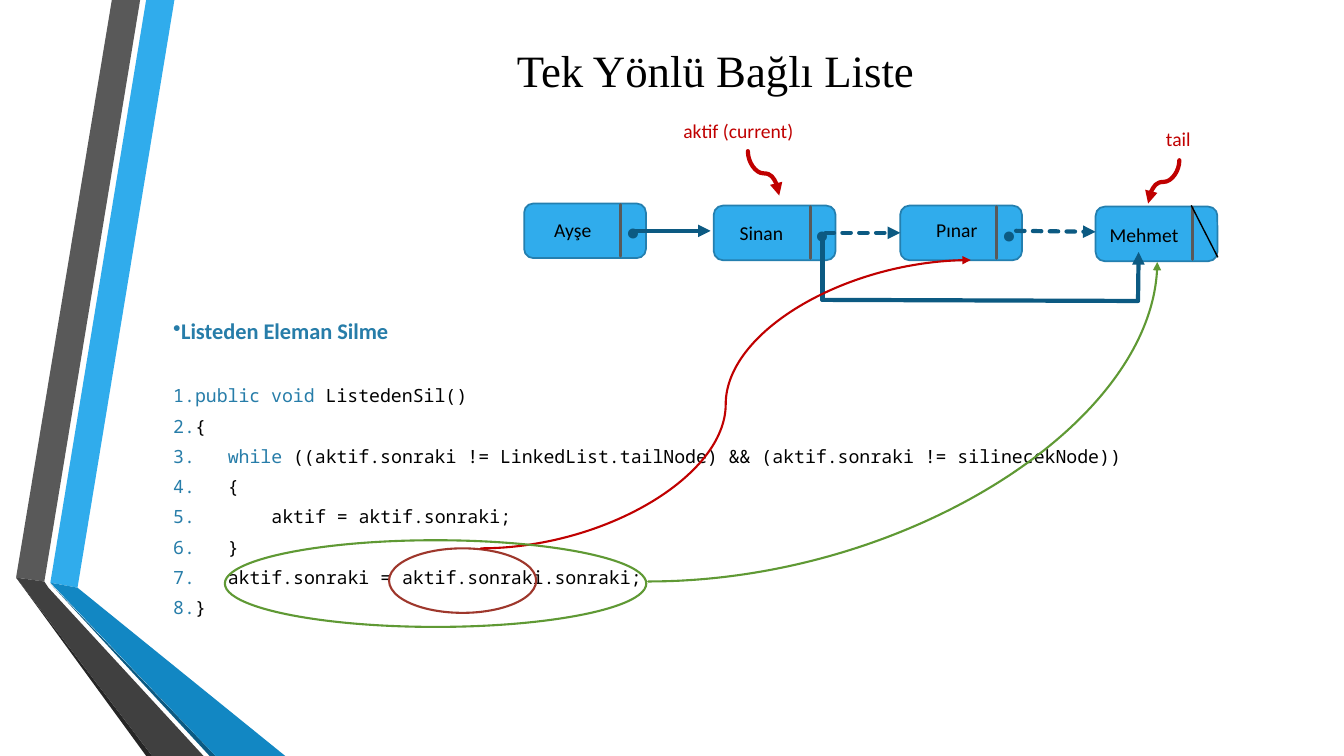
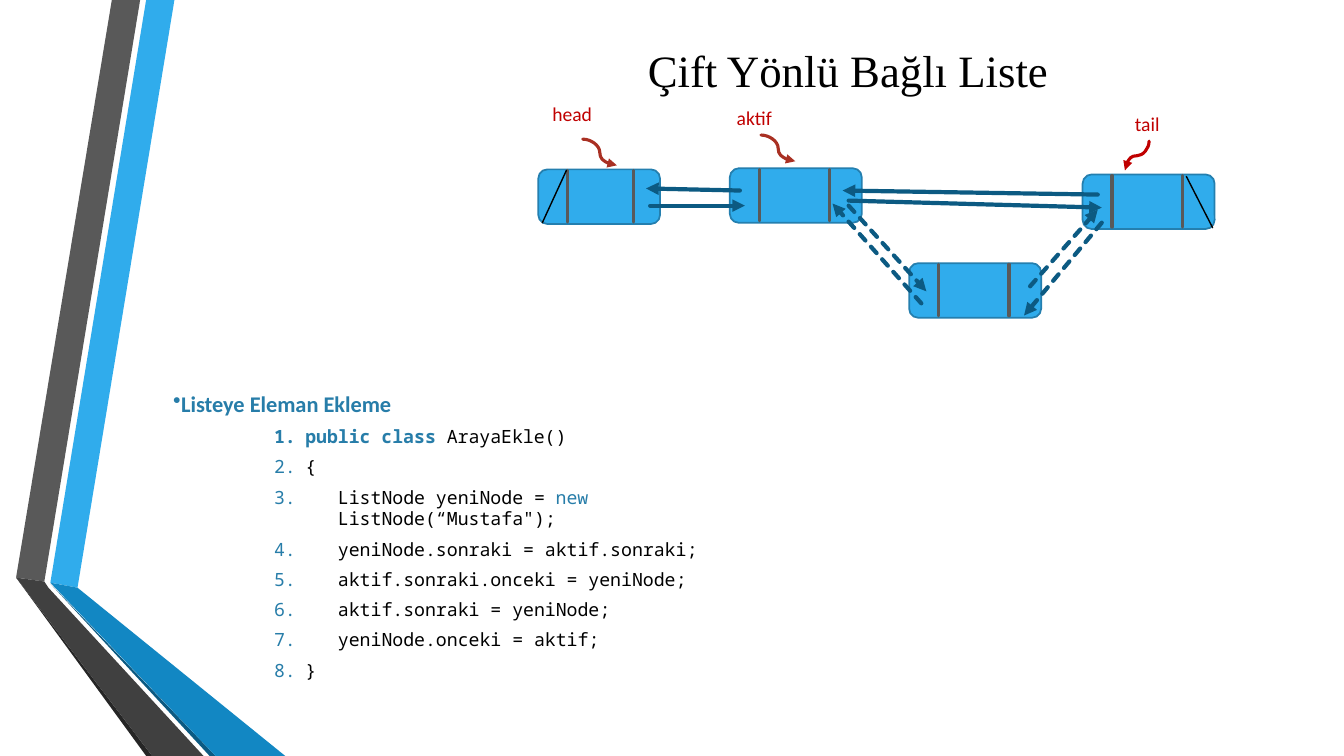
from lxml.etree import SubElement
from pptx import Presentation
from pptx.dml.color import RGBColor
from pptx.enum.dml import MSO_LINE
from pptx.enum.shapes import MSO_CONNECTOR, MSO_SHAPE
from pptx.enum.text import MSO_ANCHOR, PP_ALIGN
from pptx.oxml.ns import qn
from pptx.util import Pt

SKY, NAVY, GREY, EDGE = "30ACEC", "0C5A82", "595959", "247FAF"
KEYWORD, BLACK, RED, BRICK, GREEN = "277DA9", "000000", "C00000", "A93023", "5F9934"
SANS, MONO, SERIF = "Calibri", "Noto Sans Mono", "Times New Roman"
CODE_SIZE, CODE_CHAR = 13, 7.8
NODE_HEIGHT = 39
SMALL_NODE, WIDE_NODE = 87, 94.3

RIBBONS = [
    (SKY, [(36, 416.2), (55.4, 419.8), (124.6, 0), (104.4, 0)]),
    (GREY, [(100.1, 0), (79.9, 0), (11.5, 412.6), (31.7, 415.4)]),
    ("262626", [(11.5, 412.6), (104.4, 540), (108.7, 540)]),
    (NAVY, [(36, 416.9), (149.8, 540), (154.1, 540)]),
    ("1287C3", [(36, 416.2), (154.1, 540), (203.8, 540), (55.4, 419.8)]),
    ("404040", [(145.4, 540), (34.6, 419.8), (31.7, 415.4), (11.5, 412.6),
                (108.7, 540)]),
]


def rgb(value):
    """Turn a hex string into a colour."""
    return RGBColor.from_string(value)


def add_run(paragraph, text, size, color, font=SANS, bold=False):
    """Append one formatted run."""
    run = paragraph.add_run()
    run.text = text
    run.font.size, run.font.name, run.font.bold = Pt(size), font, bold
    run.font.color.rgb = rgb(color)


def text_frame(slide, left, top, width, height):
    """Add a wrapping text box and return its frame."""
    frame = slide.shapes.add_textbox(Pt(left), Pt(top), Pt(width), Pt(height)).text_frame
    frame.word_wrap = True
    return frame


def label(slide, text, left, top, width, color=BLACK):
    """Write a short caption."""
    frame = text_frame(slide, left, top, width, 24.5)
    add_run(frame.paragraphs[0], text, 14, color)


def start_slide(deck, title, left, width):
    """Add a slide with the folded ribbons and its title."""
    slide = deck.slides.add_slide(deck.slide_layouts[6])
    for color, corners in RIBBONS:
        (x, y), *rest = [(Pt(x), Pt(y)) for x, y in corners]
        outline = slide.shapes.build_freeform(x, y)
        outline.add_line_segments(rest, close=True)
        ribbon = outline.convert_to_shape()
        ribbon.shadow.inherit = False
        ribbon.fill.solid()
        ribbon.fill.fore_color.rgb = rgb(color)
        ribbon.line.fill.background()
    frame = text_frame(slide, left, 12.24, width, 74.88)
    frame.vertical_anchor = MSO_ANCHOR.MIDDLE
    frame.paragraphs[0].alignment = PP_ALIGN.CENTER
    add_run(frame.paragraphs[0], title, 32, BLACK, SERIF)
    return slide


def style_connector(connector, color, weight, arrow=False, dashed=False):
    """Set the stroke and the arrowhead of a connector."""
    connector.line.color.rgb = rgb(color)
    connector.line.width = Pt(weight)
    if dashed:
        connector.line.dash_style = MSO_LINE.SQUARE_DOT
    properties = connector.line._get_or_add_ln()
    properties.set("cap", "rnd")
    if arrow:
        SubElement(properties, qn("a:tailEnd"), type="triangle")
    SubElement(connector._element.spPr, qn("a:effectLst"))


def line(slide, start, end, color=NAVY, weight=3, arrow=False, dashed=False):
    """Draw a straight line."""
    connector = slide.shapes.add_connector(
        MSO_CONNECTOR.STRAIGHT, *map(Pt, start + end))
    style_connector(connector, color, weight, arrow, dashed)


def curve(slide, start, end, color, weight, upright=False, quarter=False):
    """Draw a curved arrow; an upright one leaves its start downwards."""
    (x1, y1), (x2, y2) = start, end
    if upright:
        turn = 1 if x2 < x1 else -1
        center_x, center_y = (x1 + x2) / 2, (y1 + y2) / 2
        half_width, half_height = turn * (y2 - y1) / 2, abs(x2 - x1) / 2
        x1, x2 = center_x - half_width, center_x + half_width
        y1, y2 = center_y - half_height, center_y + half_height
    connector = slide.shapes.add_connector(
        MSO_CONNECTOR.CURVE, Pt(x1), Pt(y1), Pt(x2), Pt(y2))
    properties = connector._element.spPr
    if upright:
        degrees = 90 if turn == 1 else 270
        properties.find(qn("a:xfrm")).set("rot", str(degrees * 60000))
    if quarter:
        properties.find(qn("a:prstGeom")).set("prst", "curvedConnector2")
    style_connector(connector, color, weight, arrow=True)


def node(slide, left, top, width, dividers):
    """Draw a list node split by upright dividers."""
    box = slide.shapes.add_shape(MSO_SHAPE.ROUNDED_RECTANGLE, Pt(left), Pt(top),
                                 Pt(width), Pt(NODE_HEIGHT))
    box.shadow.inherit = False
    box.fill.solid()
    box.fill.fore_color.rgb = rgb(SKY)
    box.line.color.rgb = rgb(EDGE)
    box.line.width = Pt(1.25)
    for offset in dividers:
        x = left + offset
        line(slide, (x, top + 0.8), (x, top + 37.6), GREY, 2.25)


def link_dot(slide, node_left, node_top):
    """Put the pointer dot into the link field of a node."""
    frame = text_frame(slide, node_left + 64.5, node_top - 26.3, 18, 65.5)
    add_run(frame.paragraphs[0], ".", 48, NAVY, bold=True)


def ring(slide, left, top, width, height, color):
    """Circle a part of the code."""
    oval = slide.shapes.add_shape(MSO_SHAPE.OVAL, Pt(left), Pt(top), Pt(width), Pt(height))
    oval.shadow.inherit = False
    oval.fill.background()
    oval.line.color.rgb = rgb(color)
    oval.line.width = Pt(1.5)


def set_bullet(paragraph, margin, indent, tag, **attributes):
    """Give a paragraph its bullet or number and its indents."""
    properties = paragraph._p.get_or_add_pPr()
    properties.set("marL", str(Pt(margin)))
    properties.set("indent", str(Pt(indent)))
    bullet_color = SubElement(properties, qn("a:buClr"))
    SubElement(bullet_color, qn("a:srgbClr"), val=KEYWORD)
    SubElement(properties, qn(tag), **attributes)


def listing(slide, area, heading, heading_gap, number_at, number_width, lines):
    """Write a heading and numbered code; a line is its depth and its runs."""
    frame = text_frame(slide, *area)
    heading_line = frame.paragraphs[0]
    heading_line.space_after = Pt(heading_gap)
    set_bullet(heading_line, 0, 0, "a:buChar", char="•")
    add_run(heading_line, heading, 16, KEYWORD, bold=True)
    for depth, runs in lines:
        code_line = frame.add_paragraph()
        code_line.space_after = Pt(6)
        hang = number_width + depth * CODE_CHAR
        set_bullet(code_line, number_at + hang, -hang, "a:buAutoNum",
                   type="arabicPeriod")
        for text, *style in runs:
            add_run(code_line, text, CODE_SIZE, KEYWORD if style else BLACK, MONO,
                    "bold" in style)


def deletion_slide(deck):
    """Removing an element from a singly linked list."""
    slide = start_slide(deck, "Tek Yönlü Bağlı Liste", 116.64, 789.12)
    listing(slide, (116.64, 223.2, 758.9, 252.7), "Listeden Eleman Silme", 28.8,
            0, 2 * CODE_CHAR, [
                (0, [("public void ", "keyword"), ("ListedenSil()",)]),
                (0, [("{",)]),
                (3, [("while", "keyword"),
                     (" ((aktif.sonraki != LinkedList.tailNode) && "
                      "(aktif.sonraki != silinecekNode))",)]),
                (3, [("{",)]),
                (7, [("aktif = aktif.sonraki;",)]),
                (3, [("}",)]),
                (3, [("aktif.sonraki = aktif.sonraki.sonraki;",)]),
                (0, [("}",)]),
            ])

    people = [
        ("Ayşe", 374.4, 145.4, 388.8, 151.9, 45.4),
        ("Sinan", 509.8, 146.9, 521.3, 154.1, 52.6),
        ("Pınar", 643, 146.9, 661.7, 151.9, 45.4),
        ("Mehmet", 782.6, 147.6, 785.5, 155.5, 69.1),
    ]
    for name, left, top, name_left, name_top, name_width in people:
        node(slide, left, top, SMALL_NODE, [69])
        label(slide, name, name_left, name_top, name_width)
    for _, left, top, *_ in people[:-1]:
        link_dot(slide, left, top)
    line(slide, (869.8, 183.6), (851, 146.9), BLACK, 1)

    line(slide, (454.3, 164.9), (507.6, 164.9), arrow=True)
    line(slide, (589.7, 166.3), (643, 166.3), arrow=True, dashed=True)
    line(slide, (725.8, 164.9), (782.6, 165.6), arrow=True, dashed=True)
    line(slide, (587.5, 169.9), (587.5, 214.2))
    line(slide, (812.9, 215), (587.5, 214.2))
    line(slide, (812.9, 214.2), (813.3, 180), arrow=True)

    label(slide, "aktif (current)", 481, 81.4, 106.6, RED)
    curve(slide, (534.2, 108), (556.6, 139.7), RED, 3, upright=True)
    label(slide, "tail", 825.8, 87.1, 43.2, RED)
    curve(slide, (842.4, 114.5), (820.1, 145.4), RED, 3, upright=True)

    ring(slide, 277.9, 391.7, 105.1, 46.1, "9E372C")
    curve(slide, (343.4, 391.7), (693.4, 185.8), RED, 1.5)
    ring(slide, 160.6, 385.9, 301, 61.9, GREEN)
    curve(slide, (463, 415.4), (826.6, 187.2), GREEN, 1.5, quarter=True)


def insertion_slide(deck):
    """Adding an element to a doubly linked list."""
    slide = start_slide(deck, "Çift Yönlü Bağlı Liste", 306, 599.76)
    listing(slide, (116.64, 275, 467.3, 234), "Listeye Eleman Ekleme", 6,
            72, 22.3, [
                (0, [("public class ", "keyword", "bold"), ("ArayaEkle()",)]),
                (0, [("{",)]),
                (3, [("ListNode yeniNode = ",), ("new ", "keyword"),
                     ("ListNode(“Mustafa\");",)]),
                (3, [("yeniNode.sonraki = aktif.sonraki;",)]),
                (3, [("aktif.sonraki.onceki = yeniNode;",)]),
                (3, [("aktif.sonraki = yeniNode;",)]),
                (3, [("yeniNode.onceki = aktif;",)]),
                (0, [("}",)]),
            ])

    node(slide, 384.5, 121, SMALL_NODE, [21, 68])
    for left, top in [(521.3, 120.2), (773.3, 124.6), (649.4, 188)]:
        node(slide, left, top, WIDE_NODE, [21, 71.3])
    line(slide, (387.4, 159.1), (404.6, 121.7), BLACK, 1)
    line(slide, (866.2, 162.7), (847.4, 126), BLACK, 1)

    for start, end in [((464.4, 146.9), (532.1, 146.9)),
                       ((528.5, 136.1), (461.5, 134.6)),
                       ((784.1, 139), (601.9, 136.1)),
                       ((606.2, 143.3), (787, 148.3))]:
        line(slide, start, end, arrow=True)
    for start, end in [((735.8, 204.5), (784.1, 149.8)),
                       ((606.2, 146.9), (661.7, 208.1)),
                       ((787, 159.1), (731.5, 225.4)),
                       ((658.1, 216.7), (594.7, 145.4))]:
        line(slide, start, end, arrow=True, dashed=True)

    label(slide, "head", 387.4, 69.1, 45.4, RED)
    curve(slide, (416.2, 99.4), (440.6, 118.1), BRICK, 2.25)
    label(slide, "aktif", 519.1, 72, 43.2, RED)
    curve(slide, (543.6, 96.5), (568.1, 115.2), BRICK, 2.25)
    label(slide, "tail", 803.5, 76.3, 33.8, RED)
    curve(slide, (820.8, 100.8), (803.5, 121.7), RED, 2.25, upright=True)


def main():
    """Build the deck and save it."""
    deck = Presentation()
    deck.slide_width, deck.slide_height = Pt(960), Pt(540)
    deletion_slide(deck)
    insertion_slide(deck)
    deck.save("out.pptx")


main()
